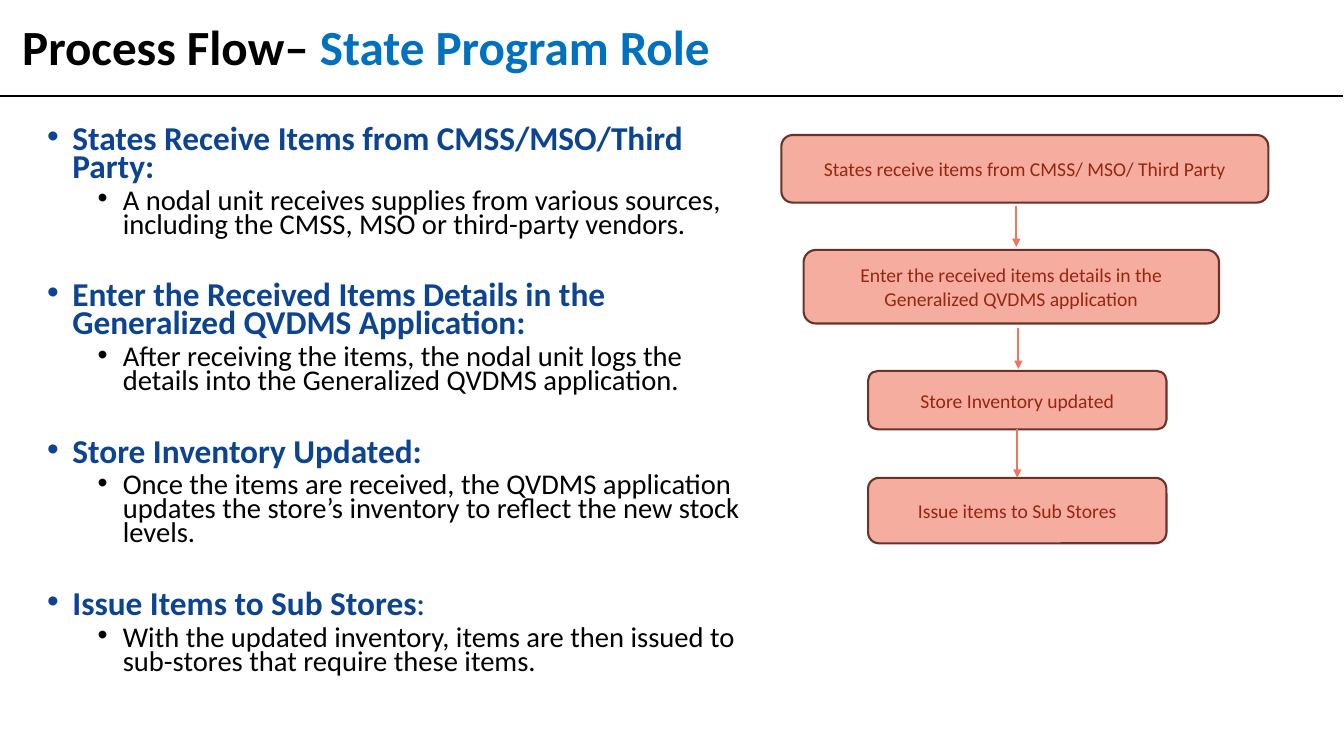
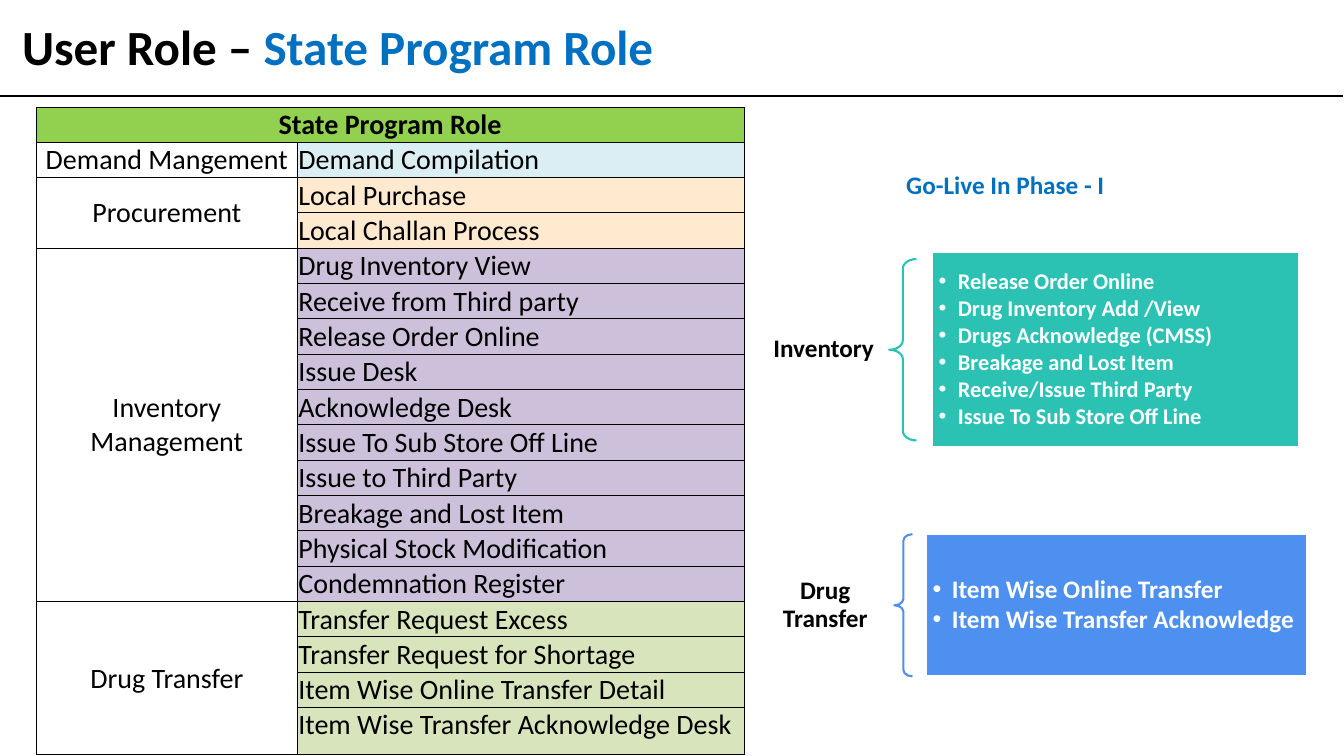
from lxml import etree
from pptx import Presentation
from pptx.dml.color import RGBColor
from pptx.enum.shapes import MSO_CONNECTOR, MSO_SHAPE
from pptx.enum.text import MSO_ANCHOR, MSO_AUTO_SIZE, PP_ALIGN
from pptx.oxml.ns import qn
from pptx.util import Emu, Pt

STRAIGHT = MSO_CONNECTOR.STRAIGHT
PROCESS_BOX = MSO_SHAPE.FLOWCHART_ALTERNATE_PROCESS
LEFT_BRACE = MSO_SHAPE.LEFT_BRACE
RECTANGLE = MSO_SHAPE.RECTANGLE
MIDDLE, TOP = MSO_ANCHOR.MIDDLE, MSO_ANCHOR.TOP
NO_AUTOFIT = MSO_AUTO_SIZE.NONE
LEFT, CENTER = PP_ALIGN.LEFT, PP_ALIGN.CENTER

BLACK = RGBColor(0x00, 0x00, 0x00)
WHITE = RGBColor(0xFF, 0xFF, 0xFF)
TITLE_BLUE = RGBColor(0x00, 0x70, 0xC0)
HEADING_BLUE = RGBColor(0x0D, 0x44, 0x91)
STEP_FILL = RGBColor(0xF5, 0xAD, 0xA0)
STEP_LINE = RGBColor(0x68, 0x34, 0x2A)
STEP_TEXT = RGBColor(0x97, 0x25, 0x10)
ARROW = RGBColor(0xEE, 0x76, 0x60)
HEADER_GREEN = RGBColor(0x92, 0xD0, 0x50)
DEMAND = RGBColor(0xDA, 0xEE, 0xF3)
PROCUREMENT = RGBColor(0xFF, 0xEA, 0xD0)
INVENTORY = RGBColor(0xCC, 0xC0, 0xDA)
TRANSFER = RGBColor(0xD8, 0xE4, 0xBC)
TEAL = RGBColor(0x2B, 0xC2, 0xB4)
BLUE = RGBColor(0x4D, 0x90, 0xEF)

FONT = "Calibri"
EMU_PER_PX = 9144
SLIDE_WIDTH, SLIDE_HEIGHT = 1333, 750
LINE_WIDTH = Pt(1.5)

EXPLANATIONS = [
    ("States Receive Items from CMSS/MSO/Third Party", ":", True,
     "A nodal unit receives supplies from various sources, including the CMSS, MSO or third-party vendors."),
    ("Enter the Received Items Details in the Generalized QVDMS Application", ":", True,
     "After receiving the items, the nodal unit logs the details into the Generalized QVDMS application."),
    ("Store Inventory Updated", ":", True,
     "Once the items are received, the QVDMS application updates the store’s inventory to reflect the new stock levels."),
    ("Issue Items to Sub Stores", ":", False,
     "With the updated inventory, items are then issued to sub-stores that require these items."),
]

FLOW_STEPS = [
    ((0, 0, 483, 67), "States receive items from CMSS/ MSO/ Third Party"),
    ((22, 114, 412, 73), "Enter the received items details in the Generalized QVDMS application"),
    ((86, 234, 296, 58), "Store Inventory updated"),
    ((86, 340, 296, 65), "Issue items to Sub Stores"),
]

ROLE_GROUPS = [
    ("Demand Mangement", DEMAND, ["Demand Compilation"]),
    ("Procurement", PROCUREMENT, ["Local Purchase", "Local Challan Process"]),
    ("Inventory Management", INVENTORY, [
        "Drug Inventory View", "Receive from Third party", "Release Order Online", "Issue Desk",
        "Acknowledge Desk", "Issue To Sub Store Off Line", "Issue to Third Party",
        "Breakage and Lost Item", "Physical Stock Modification", "Condemnation Register"]),
    ("Drug Transfer", TRANSFER, [
        "Transfer Request Excess", "Transfer Request for Shortage",
        "Item Wise Online Transfer Detail", "Item Wise Transfer Acknowledge Desk"]),
]


def px(length):
    return Emu(length * EMU_PER_PX)


def box_px(box):
    return [px(length) for length in box]


def add_run(paragraph, text, size, color, bold=False):
    run = paragraph.add_run()
    run.text = text
    run.font.name = FONT
    run.font.size = Pt(size)
    run.font.bold = bold
    run.font.color.rgb = color


def space_paragraph(paragraph, line=0.9, before=0, after=0):
    paragraph.line_spacing = line
    paragraph.space_before = Pt(before)
    paragraph.space_after = Pt(after)


def set_bullet(paragraph, left, hanging):
    properties = paragraph._p.get_or_add_pPr()
    properties.set("marL", str(px(left)))
    properties.set("indent", str(px(-hanging)))
    etree.SubElement(properties, qn("a:buFont"), typeface="Arial")
    etree.SubElement(properties, qn("a:buChar"), char="•")


def next_paragraph(frame, index):
    return frame.paragraphs[0] if index == 0 else frame.add_paragraph()


def prepare_frame(shape, anchor, margins=(10, 5, 10, 5)):
    frame = shape.text_frame
    frame.word_wrap = True
    frame.auto_size = NO_AUTOFIT
    frame.vertical_anchor = anchor
    (frame.margin_left, frame.margin_top,
     frame.margin_right, frame.margin_bottom) = box_px(margins)
    return frame


def add_text_box(slide, box, anchor=TOP, margins=(10, 5, 10, 5)):
    return prepare_frame(slide.shapes.add_textbox(*box_px(box)), anchor, margins)


def add_filled_shape(slide, kind, box, fill, line):
    shape = slide.shapes.add_shape(kind, *box_px(box))
    shape.shadow.inherit = False
    if fill is None:
        shape.fill.background()
    else:
        shape.fill.solid()
        shape.fill.fore_color.rgb = fill
    shape.line.color.rgb = line
    shape.line.width = LINE_WIDTH
    return shape


def add_line(slide, start, end, color, arrow=False):
    connector = slide.shapes.add_connector(STRAIGHT, *box_px(start + end))
    connector.line.color.rgb = color
    connector.line.width = LINE_WIDTH
    if arrow:
        etree.SubElement(connector.line._get_or_add_ln(), qn("a:tailEnd"), type="triangle")
    etree.SubElement(connector._element.spPr, qn("a:effectLst"))
    return connector


def add_titled_slide(presentation, subject):
    slide = presentation.slides.add_slide(presentation.slide_layouts.get_by_name("Title Only"))
    title = slide.shapes.title
    title.left, title.top, title.width, title.height = box_px((12, -22, 1216, 143))
    paragraph = prepare_frame(title, MIDDLE).paragraphs[0]
    paragraph.alignment = LEFT
    space_paragraph(paragraph)
    add_run(paragraph, subject, 35.1, BLACK, True)
    add_run(paragraph, "State Program Role", 35.1, TITLE_BLUE, True)
    add_line(slide, (-2, 95), (1332, 95), BLACK)
    return slide


def add_explanations(slide, box):
    frame = add_text_box(slide, box)
    for index, (heading, colon, bold_colon, detail) in enumerate(EXPLANATIONS):
        paragraph = next_paragraph(frame, index)
        space_paragraph(paragraph, 0.7, 32.4 if index else 10)
        set_bullet(paragraph, 25, 25)
        add_run(paragraph, heading, 23.8, HEADING_BLUE, True)
        add_run(paragraph, colon, 23.8, HEADING_BLUE, bold_colon)
        paragraph = frame.add_paragraph()
        space_paragraph(paragraph, 0.7, 5)
        set_bullet(paragraph, 75, 25)
        add_run(paragraph, detail, 20.4, BLACK)


def add_flow(slide, left, top):
    steps = []
    for (x, y, width, height), text in FLOW_STEPS:
        step = add_filled_shape(slide, PROCESS_BOX, (left + x, top + y, width, height),
                                STEP_FILL, STEP_LINE)
        paragraph = prepare_frame(step, MIDDLE).paragraphs[0]
        paragraph.alignment = CENTER
        add_run(paragraph, text, 14, STEP_TEXT)
        steps.append(step)
    for x, start, end in [(233, 70, 111), (235, 191, 232), (234, 292, 340)]:
        arrow = add_line(slide, (left + x, top + start), (left + x, top + end), ARROW, True)
    arrow.begin_connect(steps[-2], 2)
    arrow.end_connect(steps[-1], 0)


def add_cell_borders(cell):
    properties = cell._tc.get_or_add_tcPr()
    for index, side in enumerate(("a:lnL", "a:lnR", "a:lnT", "a:lnB")):
        border = etree.Element(qn(side), w=str(Pt(0.5)))
        fill = etree.SubElement(border, qn("a:solidFill"))
        etree.SubElement(fill, qn("a:srgbClr"), val=str(BLACK))
        properties.insert(index, border)


def fill_cell(cell, text, alignment, anchor, bold=False):
    cell.vertical_anchor = anchor
    paragraph = cell.text_frame.paragraphs[0]
    paragraph.alignment = alignment
    add_run(paragraph, text, 20, BLACK, bold)


def add_role_table(slide, left, top):
    row_count = 1 + sum(len(tasks) for _, _, tasks in ROLE_GROUPS)
    row_height, last_height = 35, 47
    height = row_height * (row_count - 1) + last_height
    table = slide.shapes.add_table(row_count, 2, *box_px((left, top, 702, height))).table
    table.first_row = table.horz_banding = False
    for column, width in zip(table.columns, (259, 443)):
        column.width = px(width)
    for row in table.rows:
        row.height = px(row_height)
    table.rows[row_count - 1].height = px(last_height)

    fills = [HEADER_GREEN] + [color for _, color, tasks in ROLE_GROUPS for _ in tasks]
    for row, color in zip(table.rows, fills):
        for column, cell in enumerate(row.cells):
            cell.margin_left = cell.margin_top = cell.margin_right = px(1)
            cell.margin_bottom = 0
            if column == 0 and color != HEADER_GREEN:
                cell.fill.background()
            else:
                cell.fill.solid()
                cell.fill.fore_color.rgb = color
            add_cell_borders(cell)

    table.cell(0, 0).merge(table.cell(0, 1))
    fill_cell(table.cell(0, 0), "State Program Role", CENTER, MIDDLE, True)
    first = 1
    for name, _, tasks in ROLE_GROUPS:
        last = first + len(tasks) - 1
        if last > first:
            table.cell(first, 0).merge(table.cell(last, 0))
        fill_cell(table.cell(first, 0), name, CENTER, MIDDLE)
        for offset, task in enumerate(tasks):
            fill_cell(table.cell(first + offset, 1), task, LEFT, TOP)
        first = last + 1


def add_phase_heading(slide, box):
    paragraph = add_text_box(slide, box).paragraphs[0]
    space_paragraph(paragraph, 1.5, 2)
    add_run(paragraph, "Go-Live In Phase - I", 18, TITLE_BLUE, True)


def add_braced_list(slide, label, label_box, alignment, brace_box, panel_box, color, size, items):
    paragraph = add_text_box(slide, label_box, MIDDLE, (14, 5, 14, 5)).paragraphs[0]
    paragraph.alignment = alignment
    space_paragraph(paragraph)
    add_run(paragraph, label, 18, BLACK, True)

    brace = add_filled_shape(slide, LEFT_BRACE, brace_box, None, color)
    brace.adjustments[0] = 0.35

    panel = add_filled_shape(slide, RECTANGLE, panel_box, color, WHITE)
    frame = prepare_frame(panel, MIDDLE, (7, 7, 7, 7))
    for index, item in enumerate(items):
        paragraph = next_paragraph(frame, index)
        paragraph.alignment = LEFT
        space_paragraph(paragraph, after=2)
        set_bullet(paragraph, 19, 19)
        add_run(paragraph, item, size, WHITE, True)


def build_process_slide(presentation):
    slide = add_titled_slide(presentation, "Process Flow– ")
    add_explanations(slide, (37, 122, 714, 613))
    add_flow(slide, 775, 134)


def build_role_slide(presentation):
    slide = add_titled_slide(presentation, "User Role – ")
    add_role_table(slide, 36, 106)
    add_phase_heading(slide, (889, 148, 430, 50))
    add_braced_list(slide, "Inventory", (753, 328, 134, 38), LEFT,
                    (882, 257, 27, 180), (924, 250, 364, 194), TEAL, 16,
                    ["Release Order Online", "Drug Inventory Add /View", "Drugs Acknowledge (CMSS)",
                     "Breakage and Lost Item", "Receive/Issue Third Party", "Issue To Sub Store Off Line"])
    add_braced_list(slide, "Drug Transfer", (745, 530, 147, 141), CENTER,
                    (887, 530, 18, 141), (918, 530, 378, 141), BLUE, 18,
                    ["Item Wise Online Transfer", "Item Wise Transfer Acknowledge"])


def main():
    presentation = Presentation()
    presentation.slide_width = px(SLIDE_WIDTH)
    presentation.slide_height = px(SLIDE_HEIGHT)
    build_process_slide(presentation)
    build_role_slide(presentation)
    presentation.save("out.pptx")


if __name__ == "__main__":
    main()
